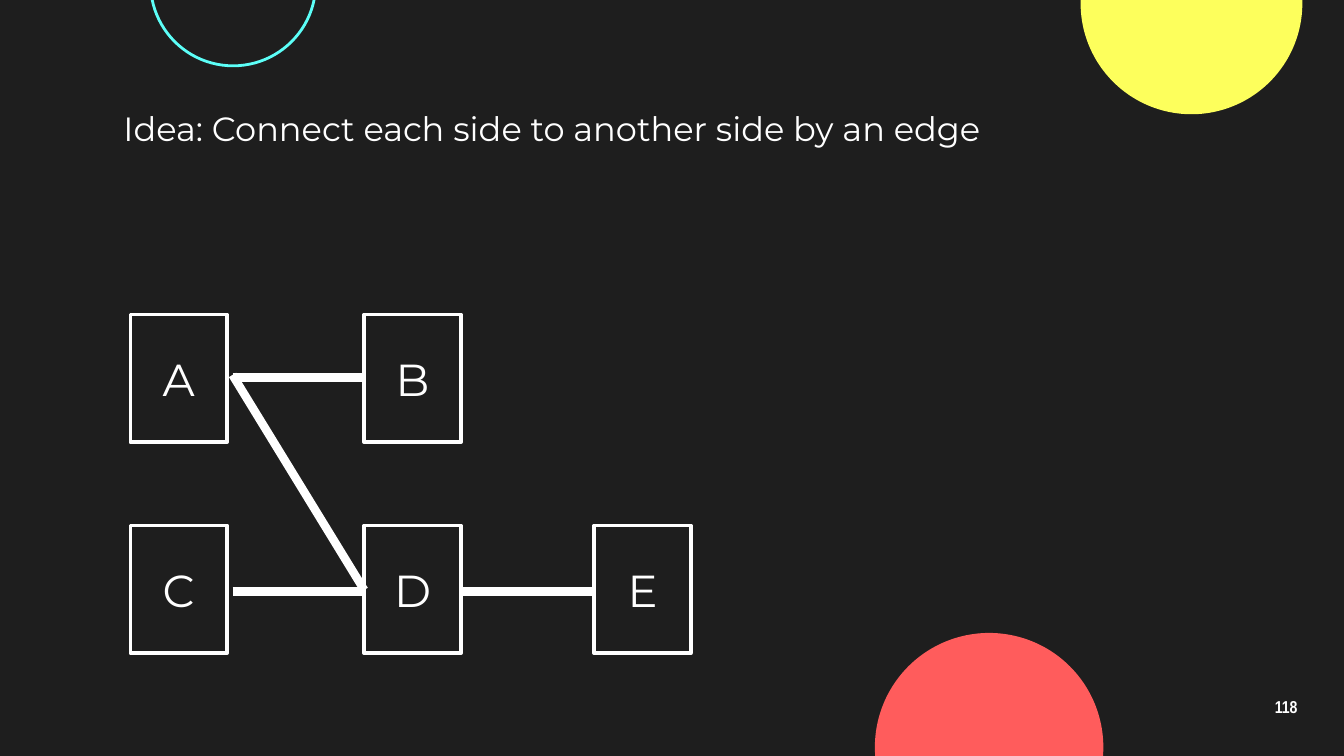
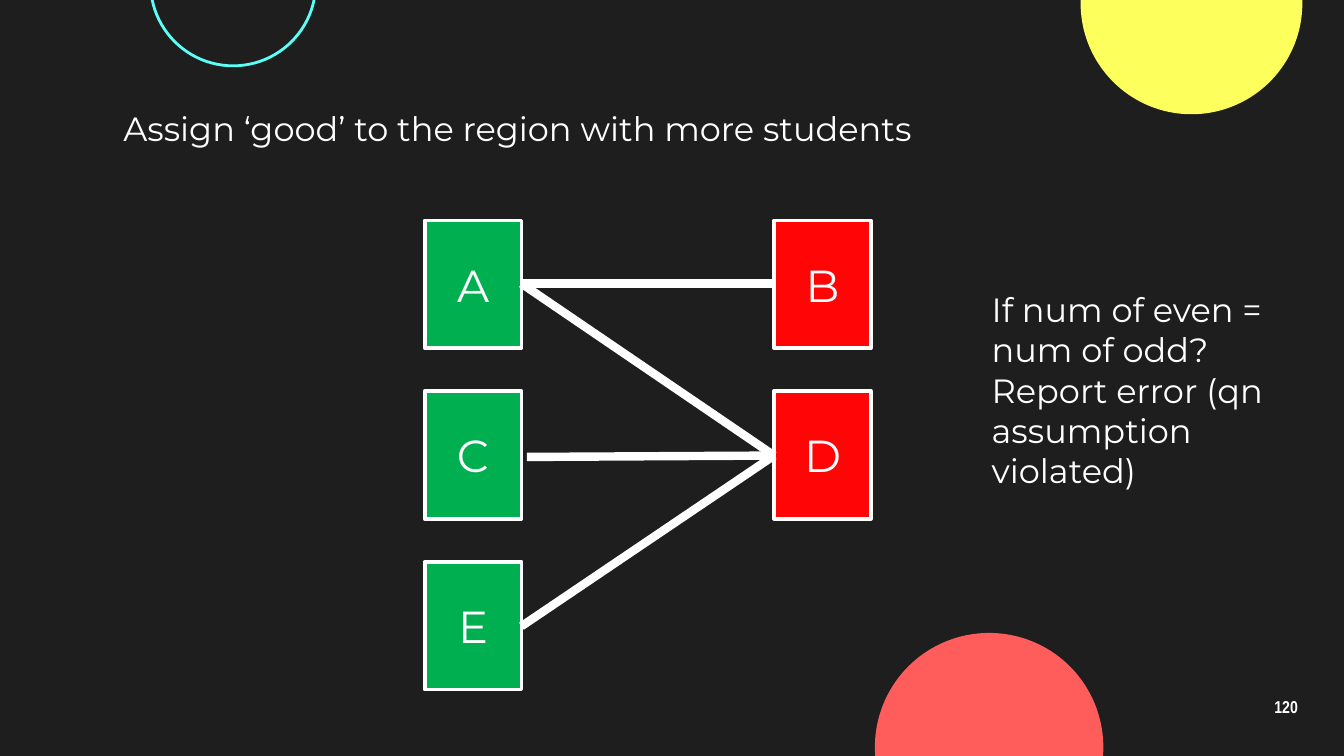
from dataclasses import dataclass

from lxml import etree
from pptx import Presentation
from pptx import util as u
from pptx.dml.color import RGBColor
from pptx.enum import shapes, text
from pptx.oxml import ns


@dataclass(frozen=True)
class Theme:
    dark: str = "1E1E1E"
    white: str = "FFFFFF"
    yellow: str = "FDFF5C"
    cyan: str = "5CFFF8"
    coral: str = "FF5C5C"
    good: str = "00B050"
    bad: str = "FF0505"
    font: str = "Montserrat"
    number_font: str = "Arial Narrow"
    body_size: float = 18
    node_size: float = 24
    number_size: float = 9.2
    ring_width: float = 1.5
    node_line: float = 2
    edge_width: float = 4.5


T = Theme()
NODE_W, NODE_H = 0.72, 0.95
BODY = {"name": T.font, "size": u.Pt(T.body_size)}
NODE = {"name": T.font, "size": u.Pt(T.node_size)}
NUMBER = {"name": T.number_font, "size": u.Pt(T.number_size), "bold": True}
CENTRED = {"alignment": text.PP_ALIGN.CENTER}


def rgb(value):
    return RGBColor.from_string(value)


def inches(*values):
    return [u.Inches(v) for v in values]


def set_all(target, values):
    for name, value in values.items():
        setattr(target, name, value)


def write(tf, lines, font, para=None):
    for i, line in enumerate(lines):
        p = tf.paragraphs[0] if i == 0 else tf.add_paragraph()
        set_all(p, para or {})
        r = p.add_run()
        r.text = line
        set_all(r.font, font)
        r.font.color.rgb = rgb(T.white)


def add_text(s, box, lines, font=BODY, para=None, anchor=text.MSO_ANCHOR.TOP):
    tf = s.shapes.add_textbox(*inches(*box)).text_frame
    margins = ("margin_left", "margin_top", "margin_right", "margin_bottom")
    set_all(tf, dict.fromkeys(margins, u.Inches(0.1)))
    set_all(tf, {"word_wrap": True, "vertical_anchor": anchor})
    write(tf, lines, font, para)


def add_figure(s, kind, box, fill=None, line=None, width=0):
    sp = s.shapes.add_shape(kind, *inches(*box))
    sp.shadow.inherit = False
    if fill:
        sp.fill.solid()
        sp.fill.fore_color.rgb = rgb(fill)
    else:
        sp.fill.background()
    if line:
        sp.line.color.rgb = rgb(line)
        sp.line.width = u.Pt(width)
    else:
        sp.line.fill.background()
    return sp


def add_circle(s, left, top, size, **style):
    add_figure(s, shapes.MSO_SHAPE.OVAL, (left, top, size, size), **style)


def add_node(s, label, left, top, fill=None):
    sp = add_figure(s, shapes.MSO_SHAPE.RECTANGLE, (left, top, NODE_W, NODE_H),
                    fill, T.white, T.node_line)
    tf = sp.text_frame
    tf.vertical_anchor = text.MSO_ANCHOR.MIDDLE
    write(tf, [label], NODE, CENTRED)


def add_edge(s, x1, y1, x2, y2):
    line = s.shapes.add_connector(shapes.MSO_CONNECTOR.STRAIGHT,
                                  *inches(x1, y1, x2, y2))
    line.line.color.rgb = rgb(T.white)
    line.line.width = u.Pt(T.edge_width)
    etree.SubElement(line._element.spPr, ns.qn("a:effectLst"))


def add_slide(prs, title, number):
    s = prs.slides.add_slide(prs.slide_layouts[6])
    s.background.fill.solid()
    s.background.fill.fore_color.rgb = rgb(T.dark)
    add_circle(s, 8.04, -0.8, 1.65, fill=T.yellow)
    add_circle(s, 1.12, -0.74, 1.23, line=T.cyan, width=T.ring_width)
    add_circle(s, 6.51, 4.71, 1.7, fill=T.coral)
    add_text(s, (9.27, 5.1, 0.6, 0.34), [str(number)], NUMBER,
             {**CENTRED, "line_spacing": 0.9}, text.MSO_ANCHOR.MIDDLE)
    add_text(s, (0.82, 0.7, 8.48, 0.54), [title])
    return s


def connect_slide(prs):
    s = add_slide(prs, "Idea: Connect each side to another side by an edge", 118)
    left, middle, right = 0.97, 2.71, 4.42
    upper, lower = 2.34, 3.91
    nodes = {"B": (middle, upper), "A": (left, upper), "C": (left, lower),
             "E": (right, lower), "D": (middle, lower)}
    for label, place in nodes.items():
        add_node(s, label, *place)
    start, upper_mid, lower_mid = 1.73, 2.81, 4.4
    add_edge(s, start, upper_mid, middle, upper_mid)
    add_edge(s, start, 2.79, middle, 4.39)
    add_edge(s, start, lower_mid, middle, lower_mid)
    add_edge(s, middle + NODE_W, lower_mid, right, lower_mid)


def assign_slide(prs):
    s = add_slide(prs, "Assign ‘good’ to the region with more students", 120)
    good_x, bad_x = 3.16, 5.76
    first, step = 1.64, 1.27
    for labels, left, colour in (("ACE", good_x, T.good), ("BD", bad_x, T.bad)):
        for row, label in enumerate(labels):
            add_node(s, label, left, first + row * step, colour)
    start, b_mid, d_mid = good_x + NODE_W, 2.11, 3.39
    add_edge(s, start, b_mid, bad_x, b_mid)
    add_edge(s, start, b_mid, bad_x, d_mid)
    add_edge(s, start + 0.04, 3.4, bad_x, d_mid)
    add_edge(s, start, 4.66, bad_x, d_mid)
    add_text(s, (7.28, 2.05, 2.28, 0.54),
             ["If num of even = num of odd?",
              "Report error (qn assumption violated)"])


def main():
    prs = Presentation()
    prs.slide_width = u.Inches(10)
    prs.slide_height = u.Inches(10 * 9 / 16)
    connect_slide(prs)
    assign_slide(prs)
    prs.save("out.pptx")


if __name__ == "__main__":
    main()
